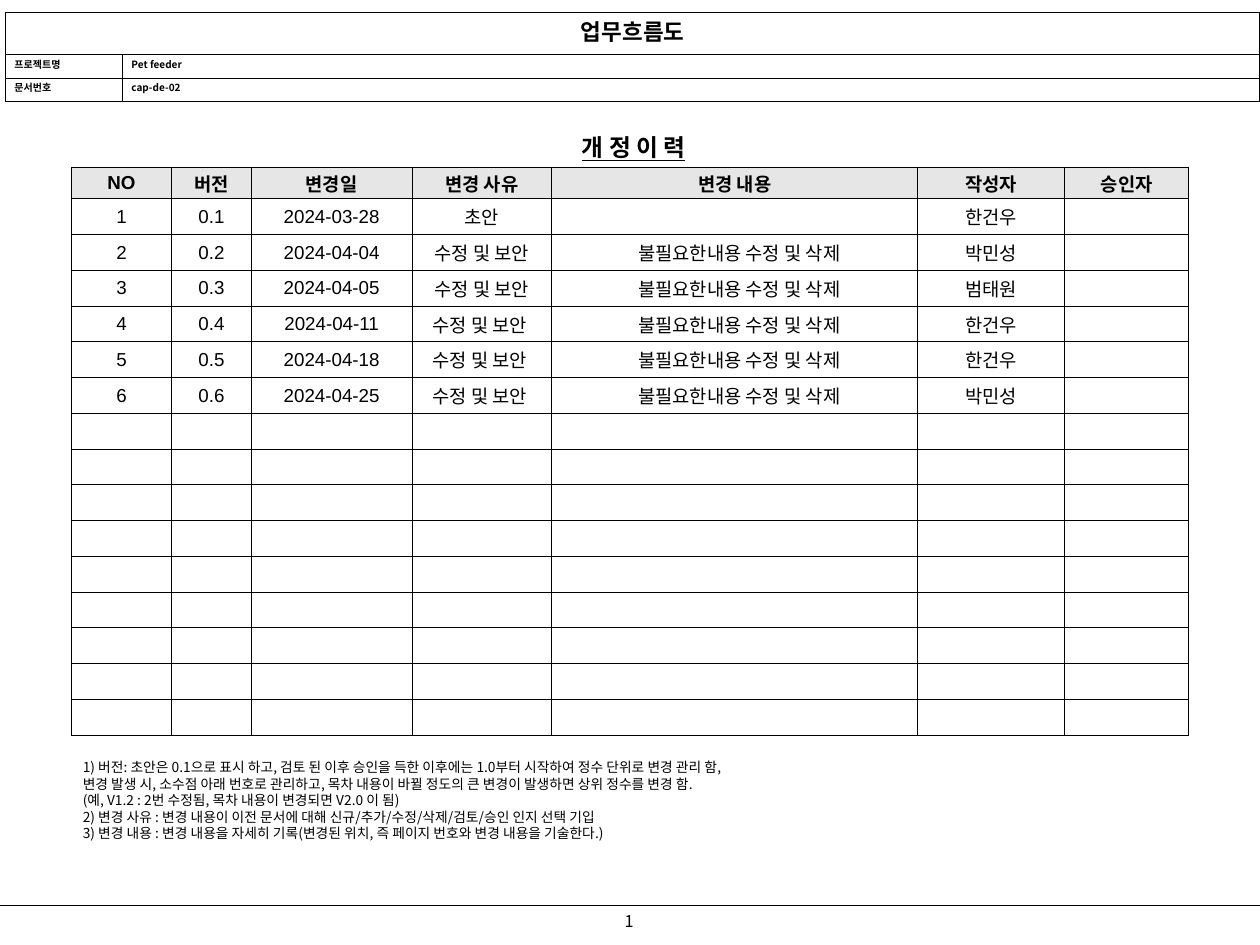
from pptx import Presentation
from pptx import util as u
from pptx.dml.color import RGBColor
from pptx.enum import shapes, text
from pptx.oxml.ns import qn
from lxml import etree

BLACK = RGBColor(0, 0, 0)
WHITE = RGBColor(255, 255, 255)
GREY = RGBColor(0xE6, 0xE6, 0xE6)
NOTO = "Noto Sans CJK KR"
MID = text.PP_ALIGN.CENTER
LEFT = text.PP_ALIGN.LEFT

HEAD = ["NO", "버전", "변경일", "변경 사유", "변경 내용", "작성자", "승인자"]
WIDTHS = [1.12, 0.88, 1.79, 1.55, 4.07, 1.63, 1.38]
HANGS = [0.61, 0.67, 0.67, 0.65, 0.66, 0.67, 0.68]
FIX = "수정 및 보안"
TRIM = "불필요한내용 수정 및 삭제"
LOG = [
    ("03-28", "초안", "", "한건우"),
    ("04-04", FIX, TRIM, "박민성"),
    ("04-05", FIX, TRIM, "범태원"),
    ("04-11", FIX + " ", TRIM, "한건우"),
    ("04-18", FIX + " ", TRIM, "한건우"),
    ("04-25", FIX + " ", TRIM, "박민성"),
]
ROWS = 15
NOTES = [
    "1) 버전: 초안은 0.1으로 표시 하고, 검토 된 이후 승인을 득한 이후에는 1.0부터 시작하여 정수 단위로 변경 관리 함,",
    "변경 발생 시, 소수점 아래 번호로 관리하고, 목차 내용이 바뀔 정도의 큰 변경이 발생하면 상위 정수를 변경 함.",
    "(예, V1.2 : 2번 수정됨, 목차 내용이 변경되면 V2.0 이 됨)",
    "2) 변경 사유 : 변경 내용이 이전 문서에 대해 신규/추가/수정/삭제/검토/승인 인지 선택 기입",
    "3) 변경 내용 : 변경 내용을 자세히 기록(변경된 위치, 즉 페이지 번호와 변경 내용을 기술한다.)",
]


def write(frame, lines, size, font=NOTO, bold=False, under=False,
          align=LEFT, pitch=None, hang=None):
    for i, line in enumerate(lines):
        para = frame.paragraphs[0] if i == 0 else frame.add_paragraph()
        para.alignment = align
        if pitch:
            para.line_spacing = u.Pt(pitch)
        if hang:
            props = para._p.get_or_add_pPr()
            props.set("marL", str(u.Inches(0.61)))
            props.set("indent", str(-u.Inches(hang)))
        run = para.add_run()
        run.text = line
        run.font.size = u.Pt(size)
        run.font.name = font
        run.font.bold = bold
        run.font.underline = under
        run.font.color.rgb = BLACK
        asian = etree.Element(qn("a:ea"), typeface=NOTO)
        run.font._element.find(qn("a:latin")).addnext(asian)


def box(slide, left, top, width, height, lines, size, wrap=True,
        anchor=text.MSO_ANCHOR.TOP, **style):
    frame = slide.shapes.add_textbox(
        *map(u.Inches, (left, top, width, height))).text_frame
    frame.word_wrap = wrap
    frame.vertical_anchor = anchor
    frame.margin_left = frame.margin_right = u.Inches(0.13)
    frame.margin_top = frame.margin_bottom = u.Inches(0.07)
    write(frame, lines, size, **style)


def rule(slide, x1, y1, x2, y2):
    line = slide.shapes.add_connector(
        shapes.MSO_CONNECTOR.STRAIGHT, *map(u.Inches, (x1, y1, x2, y2)))
    line.line.color.rgb = BLACK
    line.line.width = u.Pt(1)
    etree.SubElement(line._element.spPr, qn("a:effectLst"))


def edge(cell):
    props = cell._tc.get_or_add_tcPr()
    for side in ("lnL", "lnR", "lnT", "lnB"):
        line = etree.SubElement(props, qn("a:" + side), w=str(u.Pt(1)))
        fill = etree.SubElement(line, qn("a:solidFill"))
        etree.SubElement(fill, qn("a:srgbClr"), val=str(BLACK))


def grid(slide, left, top, cols, rows, side, ends):
    table = slide.shapes.add_table(
        len(rows), len(cols), u.Inches(left), u.Inches(top),
        u.Inches(sum(cols)), u.Inches(sum(rows))).table
    table.first_row = table.horz_banding = False
    for col, width in zip(table.columns, cols):
        col.width = u.Inches(width)
    for row, height in zip(table.rows, rows):
        row.height = u.Inches(height)
        for cell in row.cells:
            edge(cell)
            cell.fill.background()
            cell.margin_left = cell.margin_right = u.Inches(side)
            cell.margin_top = cell.margin_bottom = u.Inches(ends)
    return table


def paint(cell, color):
    cell.fill.solid()
    cell.fill.fore_color.rgb = color


def history(slide):
    first = 0.35
    rows = [first] + [(6.31 - first) / ROWS] * ROWS
    table = grid(slide, 0.79, 1.86, WIDTHS, rows, 0.09, 0)
    for col, (label, hang) in enumerate(zip(HEAD, HANGS)):
        cell = table.cell(0, col)
        paint(cell, GREY)
        cell.vertical_anchor = text.MSO_ANCHOR.MIDDLE
        write(cell.text_frame, [label], 15, font="Arial", bold=True,
              align=MID, hang=hang)
    for row, (day, why, what, who) in enumerate(LOG, 1):
        items = [str(row), f"0.{row}", "2024-" + day, why, what, who]
        for col, item in enumerate(items):
            if item:
                cell = table.cell(row, col)
                cell.vertical_anchor = text.MSO_ANCHOR.MIDDLE
                write(cell.text_frame, [item], 15, font="Arial", align=MID,
                      hang=0.51 if item == TRIM else 0.66)


def banner(slide):
    table = grid(slide, 0.06, 0.14, [1.3, 12.64], [0.47, 0.26, 0.26],
                 0.1, 0.02)
    for cell in table.iter_cells():
        paint(cell, WHITE)
    title = table.cell(0, 0)
    title.merge(table.cell(0, 1))
    write(title.text_frame, ["업무흐름도"], 18, bold=True, align=MID)
    facts = [("프로젝트명", "Pet feeder"), ("문서번호", "cap-de-02")]
    for row, pair in enumerate(facts, 1):
        for col, item in enumerate(pair):
            write(table.cell(row, col).text_frame, [item], 8, bold=True)


def main():
    deck = Presentation()
    deck.slide_width = u.Inches(14)
    deck.slide_height = u.Inches(10.5)
    slide = deck.slides.add_slide(deck.slide_layouts[6])
    box(slide, 6.72, 10.06, 0.54, 0.35, ["1"], 13, wrap=False, align=MID,
        pitch=15)
    rule(slide, 0, 10.06, 14, 10.06)
    box(slide, 5.82, 1.4, 2.44, 0.47, ["개 정 이 력"], 19, bold=True,
        under=True, align=MID, anchor=text.MSO_ANCHOR.MIDDLE)
    history(slide)
    box(slide, 0.79, 8.36, 12.42, 1.06, NOTES, 11, pitch=13.25)
    banner(slide)
    deck.save("out.pptx")


if __name__ == "__main__":
    main()
